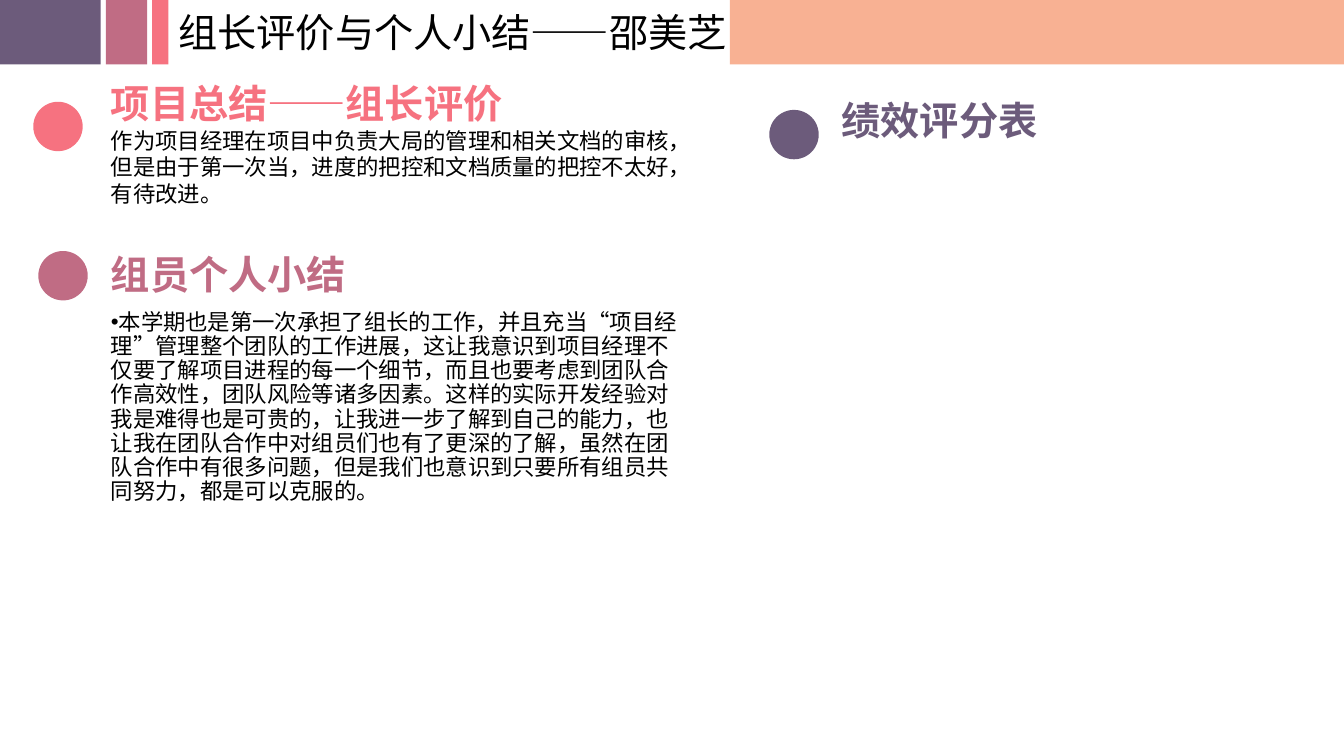
from dataclasses import dataclass

from lxml import etree
from pptx import Presentation
from pptx.dml.color import RGBColor
from pptx.enum.shapes import MSO_SHAPE
from pptx.enum.text import MSO_ANCHOR, MSO_AUTO_SIZE, PP_ALIGN
from pptx.oxml.ns import qn
from pptx.util import Inches, Pt

RECT, OVAL = MSO_SHAPE.RECTANGLE, MSO_SHAPE.OVAL
TOP, LEFT, NO_FIT = MSO_ANCHOR.TOP, PP_ALIGN.LEFT, MSO_AUTO_SIZE.NONE


@dataclass(frozen=True)
class Theme:
    purple: str = "6C5B7B"
    mauve: str = "C06C84"
    coral: str = "F67280"
    peach: str = "F8B193"
    black: str = "000000"
    heading_font: str = "Calibri"
    text_font: str = "Noto Sans CJK SC"
    heading_size: int = 28
    text_size: int = 16


theme = Theme()


def add_block(sp, box, paragraphs, wrap=True):
    """Place a text shape; each paragraph is (text, font, size, colour, bold, bullet)."""
    sp.left, sp.top, sp.width, sp.height = map(Inches, box)
    tf = sp.text_frame
    tf.auto_size, tf.word_wrap, tf.vertical_anchor = NO_FIT, wrap, TOP
    tf.text = "\n".join(item[0] for item in paragraphs)
    for p, (_, font, size, color, bold, bullet) in zip(tf.paragraphs, paragraphs):
        pPr = p._p.get_or_add_pPr()
        pPr.set("marL", "0")
        pPr.set("indent", "0")
        if bullet:
            etree.SubElement(pPr, qn("a:buChar")).set("char", "•")
        else:
            etree.SubElement(pPr, qn("a:buNone"))
        p.alignment = LEFT
        p.space_before = Pt(10 if bullet else 0)
        p.line_spacing = 0.9 if bullet else 1.0
        r = p.runs[0]
        r.font.name, r.font.size, r.font.bold = font, Pt(size), bold
        r.font.color.rgb = RGBColor.from_string(color)


def add_mark(kind, box, color):
    sp = slide.shapes.add_shape(kind, *map(Inches, box))
    sp.shadow.inherit = False
    sp.fill.solid()
    sp.fill.fore_color.rgb = RGBColor.from_string(color)
    sp.line.fill.background()


prs = Presentation()
prs.slide_width, prs.slide_height = Inches(13.33), Inches(7.5)
slide = prs.slides.add_slide(prs.slide_layouts[3])
title, leader, member = slide.placeholders

# Header band
for left, width, color in [
    (7.24, 6.09, theme.peach),
    (0, 1, theme.purple),
    (1.05, 0.41, theme.mauve),
    (1.51, 0.16, theme.coral),
]:
    add_mark(RECT, (left, 0, width, 0.64), color)

# Section dots
for left, top, color in [
    (0.33, 1.01, theme.coral),
    (0.38, 2.49, theme.mauve),
    (7.63, 1.09, theme.purple),
]:
    add_mark(OVAL, (left, top, 0.49, 0.49), color)

# Title
add_block(title, (1.67, 0.03, 5.7, 0.57), [
    ("组长评价与个人小结——邵美芝", theme.text_font, theme.heading_size, theme.black, False, False),
], wrap=False)

# Leader's review
add_block(leader, (1, 0.74, 5.87, 1.38), [
    ("项目总结——组长评价", theme.heading_font, theme.heading_size, theme.coral, True, False),
    ("作为项目经理在项目中负责大局的管理和相关文档的审核，但是由于第一次当，"
     "进度的把控和文档质量的把控不太好，有待改进。",
     theme.text_font, theme.text_size, theme.black, False, False),
])

# Member's own summary
add_block(member, (1, 2.43, 5.89, 2.65), [
    ("组员个人小结", theme.heading_font, theme.heading_size, theme.mauve, True, False),
    ("本学期也是第一次承担了组长的工作，并且充当“项目经理”管理整个团队的工作进展，"
     "这让我意识到项目经理不仅要了解项目进程的每一个细节，而且也要考虑到团队合作高效性，"
     "团队风险等诸多因素。这样的实际开发经验对我是难得也是可贵的，"
     "让我进一步了解到自己的能力，也让我在团队合作中对组员们也有了更深的了解，"
     "虽然在团队合作中有很多问题，但是我们也意识到只要所有组员共同努力，都是可以克服的。",
     theme.text_font, theme.text_size, theme.black, False, True),
])

# Score table heading
score = slide.shapes.add_textbox(0, 0, 0, 0)
add_block(score, (8.25, 0.91, 2.17, 0.57), [
    ("绩效评分表", theme.heading_font, theme.heading_size, theme.purple, True, False),
], wrap=False)

prs.save("out.pptx")
